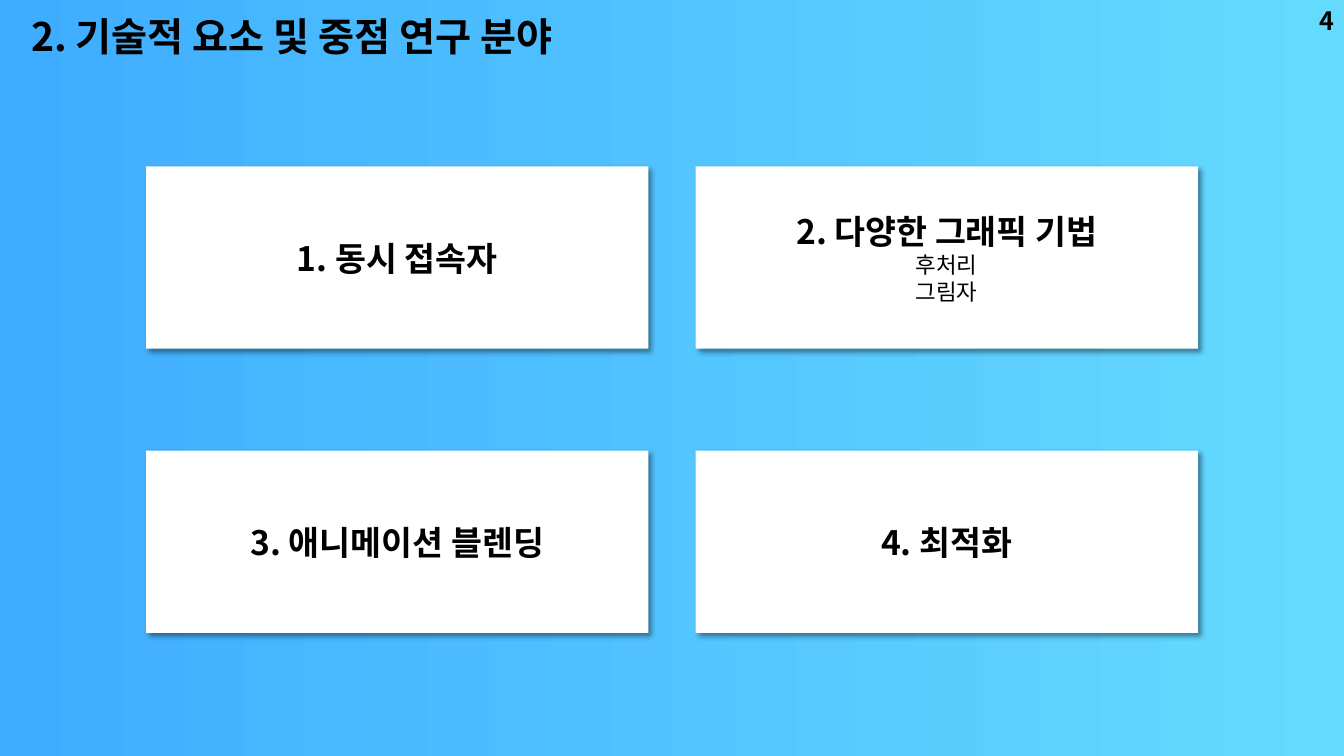
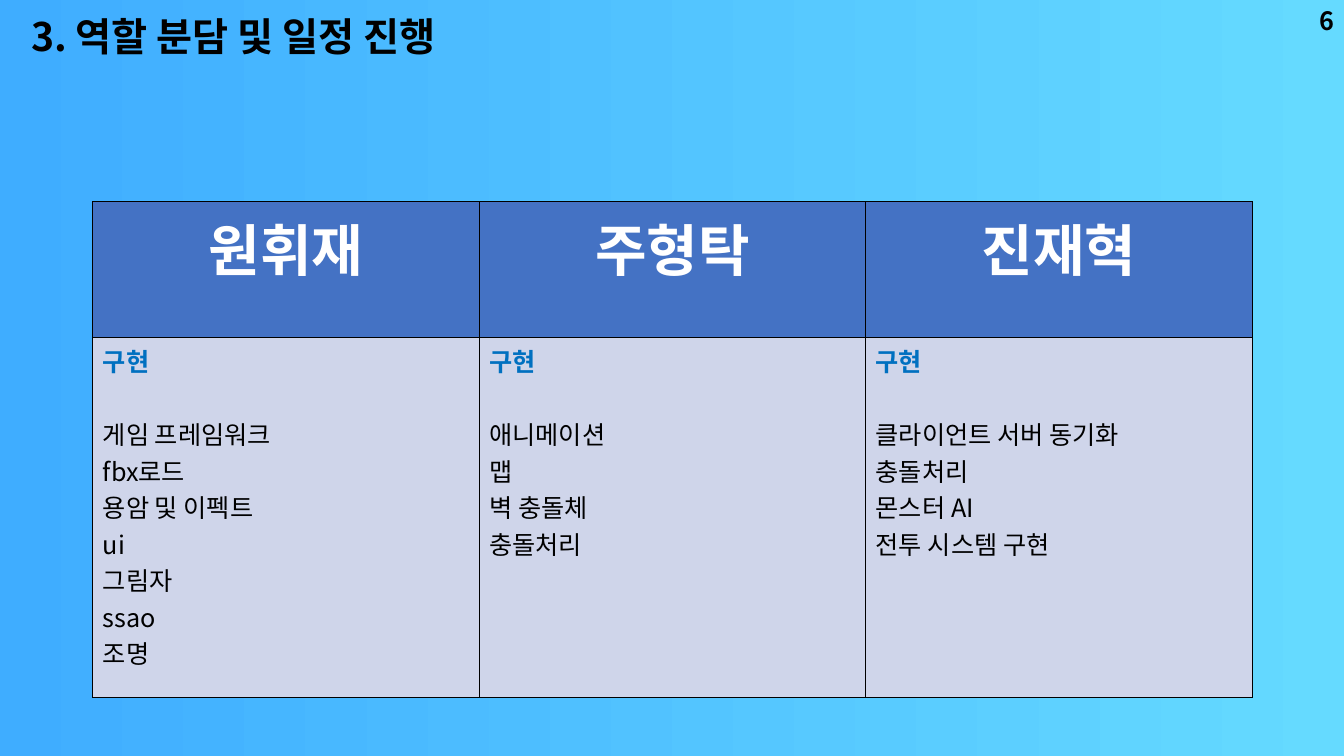
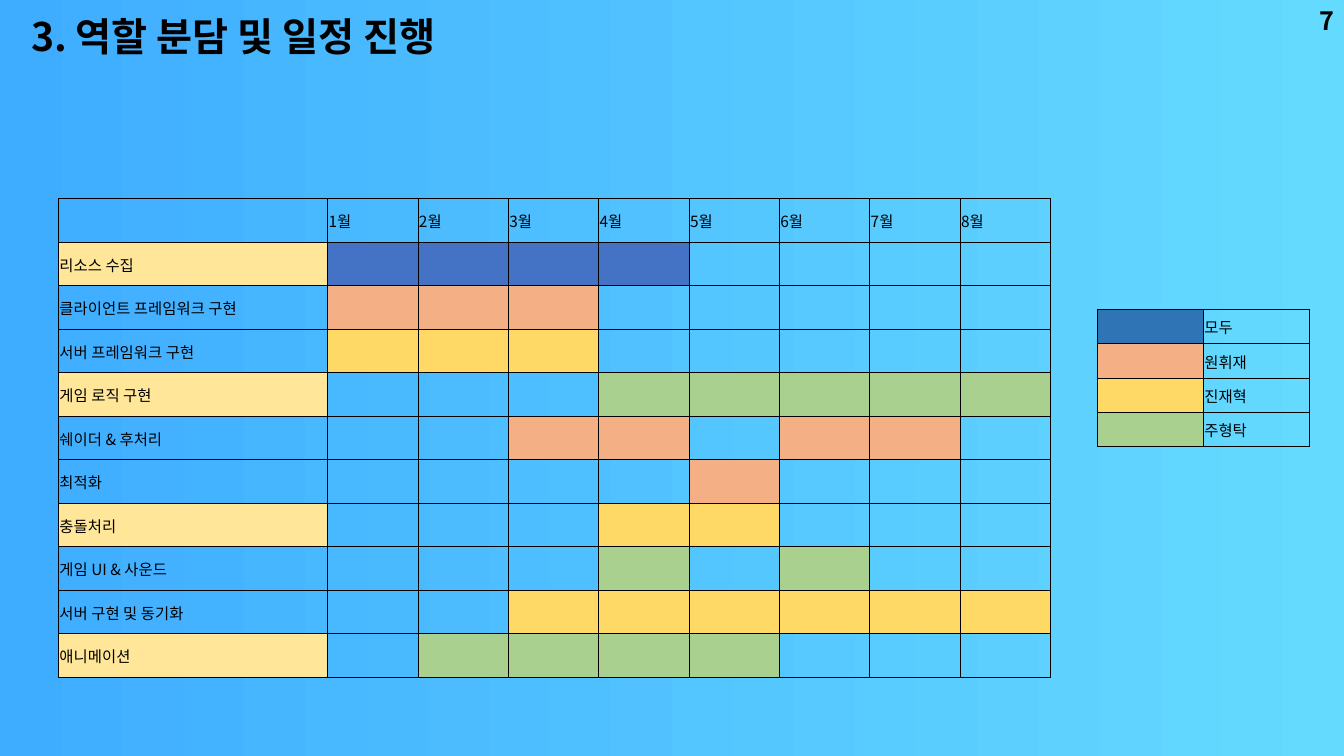
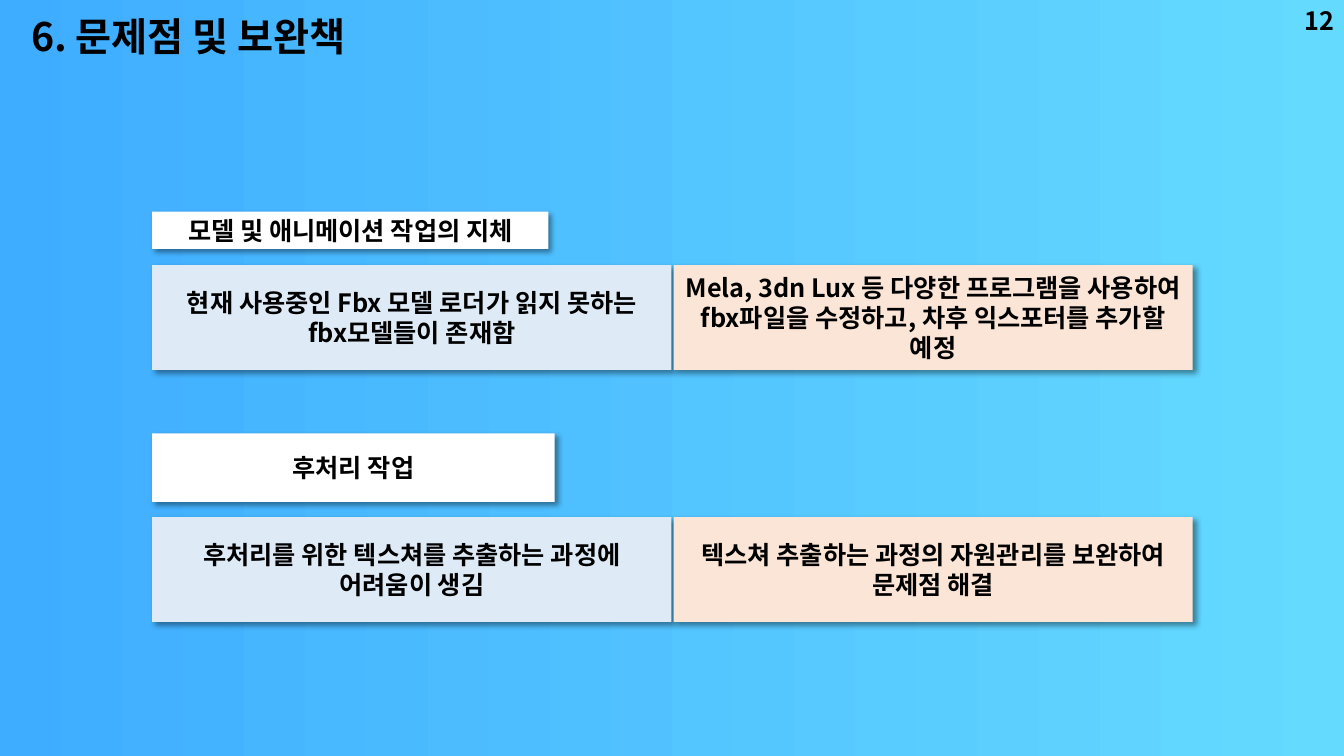
from pptx import Presentation
from pptx.dml.color import RGBColor
from pptx.enum.shapes import MSO_SHAPE
from pptx.enum.text import MSO_ANCHOR as ANCHOR, MSO_AUTO_SIZE as AUTO_SIZE, PP_ALIGN as ALIGN
from pptx.oxml import parse_xml
from pptx.oxml.ns import nsdecls
from pptx.util import Inches, Pt

FONT = "Noto Sans CJK KR"
BLACK, WHITE, BLUE, HEADING = "000000", "FFFFFF", "4472C4", "0070C0"
ORANGE, YELLOW, GREEN, NAVY = "F4B084", "FFD966", "A9D08E", "2F75B5"
PALE_YELLOW, PALE_GRAY = "FFE699", "CFD5EA"
PALE_BLUE, PALE_ORANGE = "DEEBF7", "FBE5D6"
NO_TABLE_STYLE = "{2D5ABB26-0587-4C30-8999-92F81FD0307C}"


def rgb(color):
    return RGBColor.from_string(color)


def write(frame, lines, **base):
    """Fill a text frame; a line is a string or a (string, own format) pair."""
    frame.word_wrap = True
    for index, line in enumerate(lines):
        text, own = (line, {}) if isinstance(line, str) else line
        style = {"size": 18, "color": BLACK, "bold": False, "align": ALIGN.LEFT, "before": 0} | base | own
        para = frame.paragraphs[0] if index == 0 else frame.add_paragraph()
        para.alignment = style["align"]
        para.space_before = Pt(style["before"])
        if not text:
            para._p.get_or_add_endParaRPr().set("sz", str(style["size"] * 100))
            continue
        span = para.add_run()
        span.text = text
        span.font.size = Pt(style["size"])
        span.font.bold = style["bold"]
        span.font.color.rgb = rgb(style["color"])
        span.font.name = FONT
        span.font._element.append(parse_xml(f'<a:ea {nsdecls("a")} typeface="{FONT}"/>'))


deck = Presentation()
deck.slide_width, deck.slide_height = Inches(13.33), Inches(7.5)

# Shared background and title place
background = deck.slide_master.background.fill
background.gradient()
background.gradient_angle = 0
for stop, color in zip(background.gradient_stops, ("3FADFF", "65DAFF")):
    stop.color.rgb = rgb(color)

layout = deck.slide_layouts[5]
title_place = layout.placeholders[0]
title_place.left, title_place.top = Inches(0.21), Inches(0.07)
title_place.width, title_place.height = Inches(6.1), Inches(0.57)

# Pages with title and number
pages = []
for title, number in (
    ("2. 기술적 요소 및 중점 연구 분야", "4"),
    ("3. 역할 분담 및 일정 진행", "6"),
    ("3. 역할 분담 및 일정 진행", "7"),
    ("6. 문제점 및 보완책", "12"),
):
    page = deck.slides.add_slide(layout)
    frame = page.shapes.title.text_frame
    frame.auto_size = AUTO_SIZE.NONE
    frame.vertical_anchor = ANCHOR.TOP
    write(frame, [title], size=28, bold=True)
    box = page.shapes.add_textbox(Inches(10.33), 0, Inches(3), Inches(0.4))
    box.text_frame.vertical_anchor = ANCHOR.MIDDLE
    write(box.text_frame, [number], bold=True, align=ALIGN.RIGHT)
    pages.append(page)
topics_page, roles_page, schedule_page, problems_page = pages

# Cards: page, left, top, width, height, fill, text size, lines
small = {"size": 16, "bold": False}
topics = (
    ["1. 동시 접속자"],
    ["2. 다양한 그래픽 기법", ("후처리", small), ("그림자", small)],
    ["3. 애니메이션 블렌딩"],
    ["4. 최적화"],
)
cards = []
for index, lines in enumerate(topics):
    row, col = divmod(index, 2)
    cards.append((topics_page, 1.45 + 5.45 * col, 1.65 + 2.82 * row, 4.98, 1.81, WHITE, 24, lines))

problems = (
    (2.1, 3.93, 0.37, 2.63, "모델 및 애니메이션 작업의 지체",
     ["현재 사용중인 Fbx 모델 로더가 읽지 못하는", "fbx모델들이 존재함"],
     ["Mela, 3dn Lux 등 다양한 프로그램을 사용하여 fbx파일을 수정하고, 차후 익스포터를 추가할 예정"]),
    (4.3, 3.99, 0.68, 5.13, "후처리 작업",
     ["후처리를 위한 텍스쳐를 추출하는 과정에", "어려움이 생김"],
     ["텍스쳐 추출하는 과정의 자원관리를 보완하여 문제점 해결"]),
)
for top, width, height, detail_top, name, problem, remedy in problems:
    cards += [
        (problems_page, 1.51, top, width, height, WHITE, 18, [name]),
        (problems_page, 1.51, detail_top, 5.15, 1.04, PALE_BLUE, 18, problem),
        (problems_page, 6.68, detail_top, 5.15, 1.04, PALE_ORANGE, 18, remedy),
    ]

for page, left, top, width, height, color, size, lines in cards:
    card = page.shapes.add_shape(
        MSO_SHAPE.RECTANGLE, Inches(left), Inches(top), Inches(width), Inches(height))
    card.fill.solid()
    card.fill.fore_color.rgb = rgb(color)
    card.line.fill.background()
    card._element.spPr.append(parse_xml(
        f'<a:effectLst {nsdecls("a")}>'
        '<a:outerShdw blurRad="50800" dist="38100" dir="2700000" algn="tl" rotWithShape="0">'
        '<a:srgbClr val="000000"><a:alpha val="40000"/></a:srgbClr>'
        '</a:outerShdw></a:effectLst>'))
    card.text_frame.vertical_anchor = ANCHOR.MIDDLE
    write(card.text_frame, lines, size=size, bold=True, align=ALIGN.CENTER)

# Table cells: lines, fill, text format
members = {
    "원휘재": ["게임 프레임워크", "fbx로드", "용암 및 이펙트", "ui", "그림자", "ssao", "조명"],
    "주형탁": ["애니메이션", "맵", "벽 충돌체", "충돌처리"],
    "진재혁": ["클라이언트 서버 동기화", "충돌처리", "몬스터 AI", "전투 시스템 구현"],
}
name_format = {"size": 40, "bold": True, "color": WHITE, "align": ALIGN.CENTER}
roles = [
    [([name], BLUE, name_format) for name in members],
    [([("구현", {"color": HEADING, "bold": True}), (tasks[0], {"before": 26}), *tasks[1:]], PALE_GRAY, {})
     for tasks in members.values()],
]

note = {"size": 11}
owners = {"A": BLUE, "W": ORANGE, "J": YELLOW, "H": GREEN, ".": None}
schedule = [[([""], None, note)] + [([f"{month}월"], None, note) for month in range(1, 9)]]
for index, (task, months) in enumerate((
    ("리소스 수집", "AAAA...."),
    ("클라이언트 프레임워크 구현", "WWW....."),
    ("서버 프레임워크 구현", "JJJ....."),
    ("게임 로직 구현", "...HHHHH"),
    ("쉐이더 & 후처리", "..WW.WW."),
    ("최적화", "....W..."),
    ("충돌처리", "...JJ..."),
    ("게임 UI & 사운드", "...H.H.."),
    ("서버 구현 및 동기화", "..JJJJJJ"),
    ("애니메이션", ".HHHH..."),
)):
    task_fill = PALE_YELLOW if index % 3 == 0 else None
    schedule.append([([task], task_fill, note)] + [([""], owners[owner], note) for owner in months])

legend = [
    [([""], color, note), ([name], None, note)]
    for name, color in (("모두", NAVY), ("원휘재", ORANGE), ("진재혁", YELLOW), ("주형탁", GREEN))
]

# Tables: page, left, top, column widths, row heights, border, compact cells, cells
tables = (
    (roles_page, 0.92, 2, [11.5 / 3] * 3, [1.35, 3.57], 1, False, roles),
    (schedule_page, 0.58, 1.97, [2.67] + [7.17 / 8] * 8, [4.75 / 11] * 11, 0.5, True, schedule),
    (schedule_page, 10.88, 3.07, [2.11 / 2] * 2, [1.36 / 4] * 4, 0.5, True, legend),
)
for page, left, top, widths, heights, border, compact, rows in tables:
    table = page.shapes.add_table(
        len(heights), len(widths), Inches(left), Inches(top),
        Inches(sum(widths)), Inches(sum(heights))).table
    table.first_row = table.horz_banding = False
    table._tbl.tblPr[0].text = NO_TABLE_STYLE
    for column, width in zip(table.columns, widths):
        column.width = Inches(width)
    for row, height, contents in zip(table.rows, heights, rows):
        row.height = Inches(height)
        for cell, (lines, color, style) in zip(row.cells, contents):
            if compact:
                cell.margin_left = cell.margin_right = cell.margin_top = Inches(0.01)
                cell.margin_bottom = 0
                cell.vertical_anchor = ANCHOR.MIDDLE
            for side in "LRTB":
                cell._tc.get_or_add_tcPr().append(parse_xml(
                    f'<a:ln{side} {nsdecls("a")} w="{Pt(border)}"><a:solidFill>'
                    f'<a:srgbClr val="{BLACK}"/></a:solidFill></a:ln{side}>'))
            if color:
                cell.fill.solid()
                cell.fill.fore_color.rgb = rgb(color)
            else:
                cell.fill.background()
            write(cell.text_frame, lines, **style)

deck.save("out.pptx")
